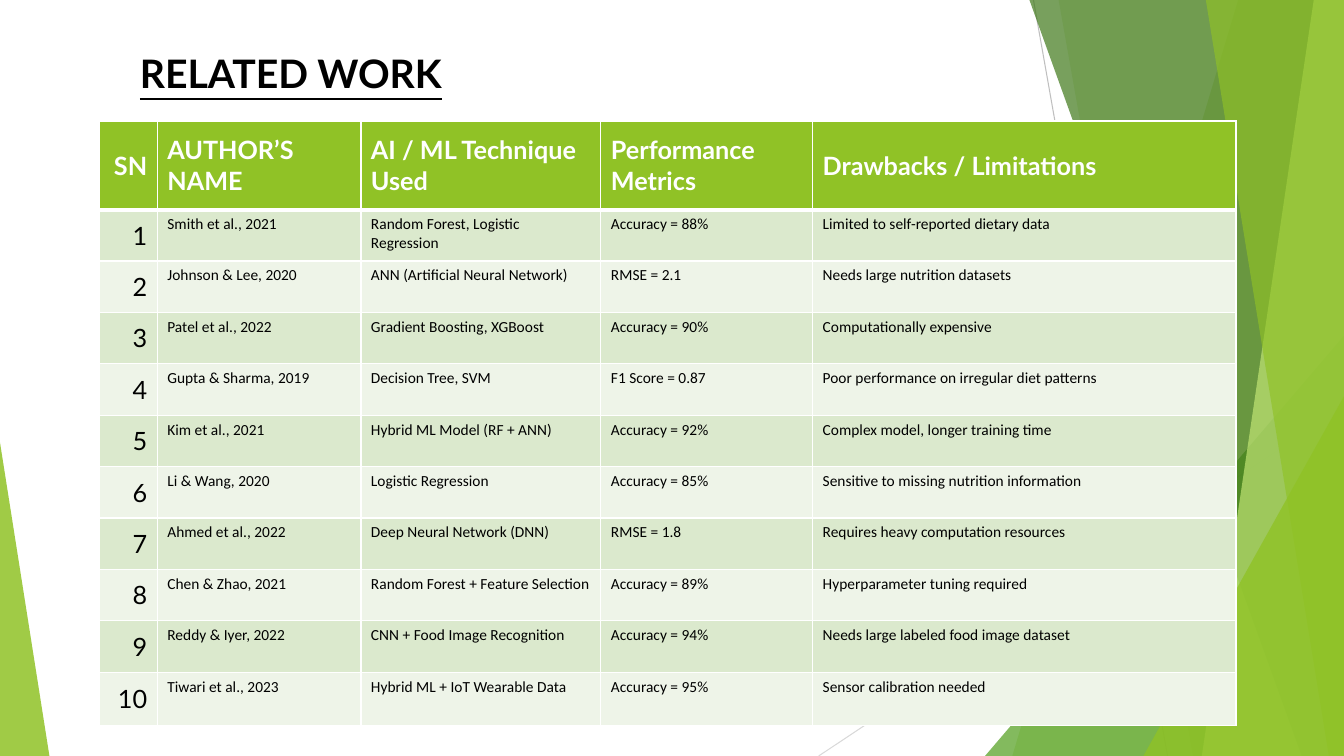
"""Build the related work slide with its facet backdrop and study table."""
import dataclasses
import typing

import lxml.etree
import pptx
import pptx.dml.color
import pptx.dml.fill
import pptx.enum.shapes
import pptx.enum.text
import pptx.oxml.ns
import pptx.shapes.autoshape
import pptx.text.text
import pptx.util

Inches = pptx.util.Inches
qn = pptx.oxml.ns.qn
WIDE, HIGH = 13.33, 7.5
GREEN, WHITE, BLACK = "90C226", "FFFFFF", "000000"
BANDS = ("DBE9CD", "EEF4E8")


@dataclasses.dataclass
class Ray:
    start: tuple[float, float]
    end: tuple[float, float]
    color: str


@dataclasses.dataclass
class Facet:
    top: float
    base: float
    color: str
    alpha: int


@dataclasses.dataclass
class Wedge:
    left: float
    top: float
    width: float
    lean: float
    color: str
    alpha: int


class Study(typing.NamedTuple):
    author: str
    method: str
    metric: str
    limit: str


RAYS = [
    Ray((10.25, 0), (11.58, HIGH), "BFBFBF"),
    Ray((WIDE, 4.03), (8.12, HIGH), "D9D9D9"),
]
PARTS = [
    Facet(12.28, 10.04, GREEN, 30),
    Facet(10.5, 11.83, GREEN, 20),
    Wedge(9.77, 3.33, 3.56, 1, "54A021", 72),
    Facet(10.21, 12.91, "3F7819", 70),
    Facet(13.03, 11.92, "C0E474", 70),
    Facet(11.96, 13.18, GREEN, 65),
    Wedge(11.34, 3.93, 1.99, 1, GREEN, 80),
    Wedge(0, 4.39, 0.49, 0, GREEN, 85),
]
HEADS = ("SN", "AUTHOR’S NAME", "AI / ML Technique Used",
         "Performance Metrics", "Drawbacks / Limitations")
STUDIES = [
    Study("Smith et al., 2021", "Random Forest, Logistic Regression",
          "Accuracy = 88%", "Limited to self-reported dietary data"),
    Study("Johnson & Lee, 2020", "ANN (Artificial Neural Network)",
          "RMSE = 2.1", "Needs large nutrition datasets"),
    Study("Patel et al., 2022", "Gradient Boosting, XGBoost",
          "Accuracy = 90%", "Computationally expensive"),
    Study("Gupta & Sharma, 2019", "Decision Tree, SVM",
          "F1 Score = 0.87", "Poor performance on irregular diet patterns"),
    Study("Kim et al., 2021", "Hybrid ML Model (RF + ANN)",
          "Accuracy = 92%", "Complex model, longer training time"),
    Study("Li & Wang, 2020", "Logistic Regression",
          "Accuracy = 85%", "Sensitive to missing nutrition information"),
    Study("Ahmed et al., 2022", "Deep Neural Network (DNN)",
          "RMSE = 1.8", "Requires heavy computation resources"),
    Study("Chen & Zhao, 2021", "Random Forest + Feature Selection",
          "Accuracy = 89%", "Hyperparameter tuning required"),
    Study("Reddy & Iyer, 2022", "CNN + Food Image Recognition",
          "Accuracy = 94%", "Needs large labeled food image dataset"),
    Study("Tiwari et al., 2023", "Hybrid ML + IoT Wearable Data",
          "Accuracy = 95%", "Sensor calibration needed"),
]
WIDTHS = (0.57, 2.02, 2.38, 2.1, 4.2)
ROWS = [0.88] + [0.51] * 9 + [0.53]


def paint(fill: pptx.dml.fill.FillFormat, color: str) -> None:
    fill.solid()
    fill.fore_color.rgb = pptx.dml.color.RGBColor.from_string(color)


def write(frame: pptx.text.text.TextFrame, text: str, *, size: float = 18,
          face: str = "Lato", color: str = BLACK, bold: bool = False,
          under: bool = False, right: bool = False) -> None:
    frame.word_wrap = True
    para = frame.paragraphs[0]
    align = pptx.enum.text.PP_ALIGN
    para.alignment = align.RIGHT if right else align.LEFT
    run = para.add_run()
    run.text = text
    font = run.font
    font.size, font.name = pptx.util.Pt(size), face
    font.bold, font.underline = bold, under
    paint(font.fill, color)


def draw_ray(slide, ray: Ray) -> None:
    ends = [Inches(n) for n in (*ray.start, *ray.end)]
    line = slide.shapes.add_connector(
        pptx.enum.shapes.MSO_CONNECTOR.STRAIGHT, *ends)
    line.line.width = pptx.util.Pt(0.75)
    paint(line.line.fill, ray.color)
    lxml.etree.SubElement(line._element.spPr, qn("a:effectLst"))


def draw_part(slide, part: Facet | Wedge) -> None:
    if isinstance(part, Facet):
        spots = [(part.top, 0), (WIDE, 0), (WIDE, HIGH), (part.base, HIGH)]
        spots = [(Inches(x), Inches(y)) for x, y in spots]
        pen = slide.shapes.build_freeform(*spots[0])
        pen.add_line_segments(spots[1:], close=True)
        shape = pen.convert_to_shape()
    else:
        shape = slide.shapes.add_shape(
            pptx.enum.shapes.MSO_SHAPE.ISOSCELES_TRIANGLE,
            Inches(part.left), Inches(part.top),
            Inches(part.width), Inches(HIGH - part.top))
        shape.adjustments[0] = part.lean
    shape.shadow.inherit = False
    shape.line.fill.background()
    paint(shape.fill, part.color)
    tint = shape._element.spPr.find(qn("a:solidFill"))[0]
    lxml.etree.SubElement(tint, qn("a:alpha"), val=str(part.alpha * 1000))


def edge(cell, top: float, base: float) -> None:
    props = cell._tc.get_or_add_tcPr()
    sides = {"L": 1, "R": 1, "T": top, "B": base}
    for spot, (side, width) in enumerate(sides.items()):
        line = lxml.etree.Element(qn(f"a:ln{side}"), w=str(pptx.util.Pt(width)))
        fill = lxml.etree.SubElement(line, qn("a:solidFill"))
        lxml.etree.SubElement(fill, qn("a:srgbClr"), val=WHITE)
        props.insert(spot, line)


def draw_table(slide) -> None:
    grid = slide.shapes.add_table(
        len(ROWS), len(WIDTHS), Inches(0.99), Inches(1.2),
        Inches(sum(WIDTHS)), Inches(sum(ROWS))).table
    grid.horz_banding = False
    for col, width in zip(grid.columns, WIDTHS):
        col.width = Inches(width)
    for row, height in zip(grid.rows, ROWS):
        row.height = Inches(height)
    lines = [HEADS] + [(str(n), *s) for n, s in enumerate(STUDIES, 1)]
    anchor = pptx.enum.text.MSO_ANCHOR
    for r, line in enumerate(lines):
        for c, text in enumerate(line):
            cell = grid.cell(r, c)
            head, first = r == 0, c == 0
            big = head or first
            paint(cell.fill, GREEN if head else BANDS[(r - 1) % 2])
            edge(cell, 3 if r == 1 else 1, 3 if head else 1)
            cell.vertical_anchor = anchor.MIDDLE if big else anchor.TOP
            write(cell.text_frame, text, size=18 if big else 11,
                  face="Lato" if big else "Calibri",
                  color=WHITE if head else BLACK, bold=head, right=first)


def main() -> None:
    deck = pptx.Presentation()
    deck.slide_width, deck.slide_height = Inches(WIDE), Inches(HIGH)
    slide = deck.slides.add_slide(deck.slide_layouts[6])
    paint(slide.background.fill, WHITE)
    for ray in RAYS:
        draw_ray(slide, ray)
    for part in PARTS:
        draw_part(slide, part)
    draw_table(slide)
    title = slide.shapes.add_textbox(
        Inches(1.29), Inches(0.44), Inches(8.26), Inches(0.57))
    write(title.text_frame, "RELATED WORK", size=28, bold=True, under=True)
    deck.save("out.pptx")


if __name__ == "__main__":
    main()
